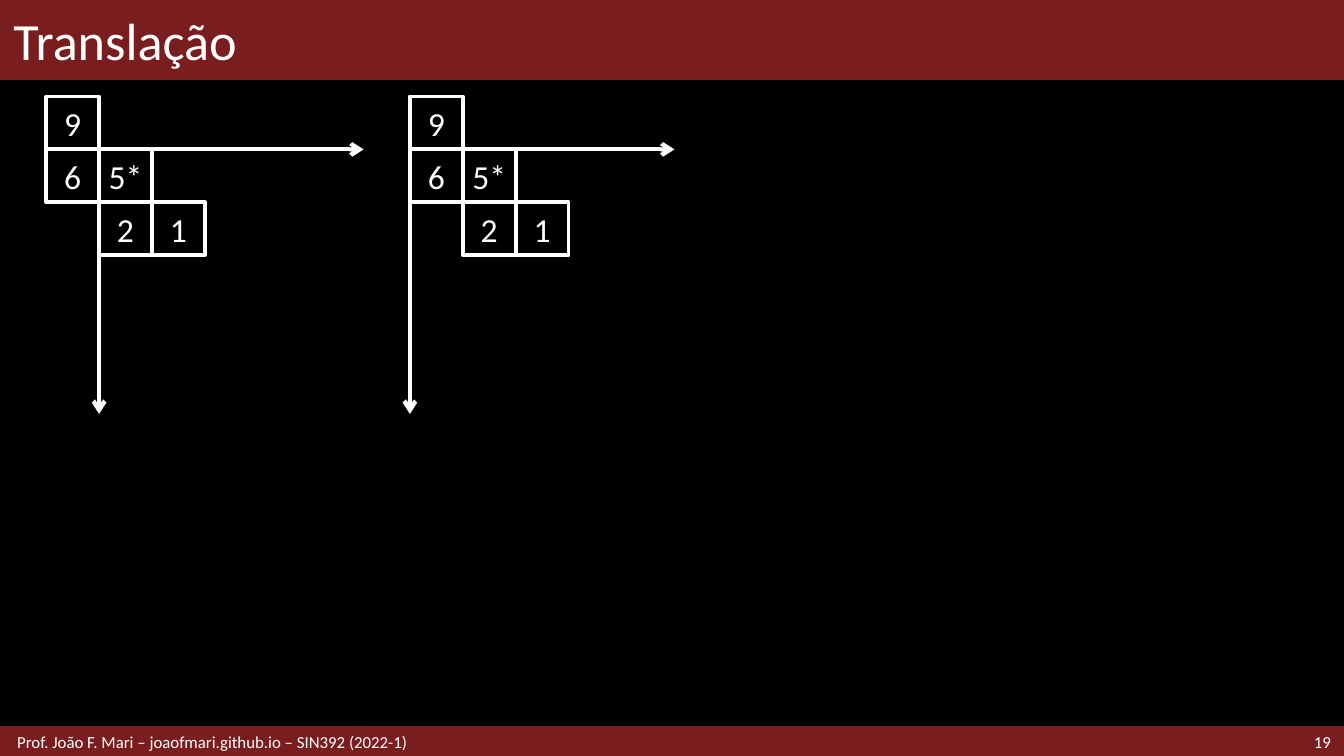
"""Build the Translação slide: one set of pixels under two coordinate origins."""
from lxml.etree import SubElement
from pptx import Presentation
from pptx.dml.color import RGBColor
from pptx.enum.shapes import MSO_CONNECTOR as CONN, MSO_SHAPE as SHAPE
from pptx.enum.text import MSO_ANCHOR as ANCHOR, PP_ALIGN as ALIGN
from pptx.oxml.ns import qn
from pptx.util import Pt

WIDTH, HEIGHT = 720, 405
TITLE_H, FOOTER_H = 42.5, 15
CELL = 28.35
TOP = 51.7
PIXELS = [("1", 2, 2), ("2", 1, 2), ("5*", 1, 1), ("6", 0, 1), ("9", 0, 0)]


def color(value):
    return RGBColor.from_string(value)


class Deck:
    font = "Calibri"
    white, black, red = "FFFFFF", "000000", "791D1F"

    def __init__(self, prs):
        self.s = prs.slides.add_slide(prs.slide_layouts[5])
        fill = self.s.background.fill
        fill.solid()
        fill.fore_color.rgb = color(self.black)

    def text(self, sp, words, size, align=ALIGN.LEFT, left=7.2, right=7.2):
        tf = sp.text_frame
        fmt = {"word_wrap": True, "vertical_anchor": ANCHOR.MIDDLE,
               "margin_left": Pt(left), "margin_right": Pt(right),
               "margin_top": 0, "margin_bottom": 0}
        for name, value in fmt.items():
            setattr(tf, name, value)
        p = tf.paragraphs[0]
        p.alignment = align
        r = p.add_run()
        r.text = words
        for name, value in {"name": self.font, "size": Pt(size)}.items():
            setattr(r.font, name, value)
        r.font.color.rgb = color(self.white)

    def rect(self, x, y, w, h, line, weight, fill=None):
        sp = self.s.shapes.add_shape(SHAPE.RECTANGLE, Pt(x), Pt(y), Pt(w), Pt(h))
        sp.shadow.inherit = False
        if fill:
            sp.fill.solid()
            sp.fill.fore_color.rgb = color(fill)
        else:
            sp.fill.background()
        sp.line.color.rgb = color(line)
        sp.line.width = Pt(weight)
        return sp

    def band(self, y, h, weight):
        self.rect(0, y, WIDTH, h, self.red, weight, self.red)

    def title(self, words):
        sp = self.s.shapes.title
        box = {"left": 0, "top": 0, "width": Pt(WIDTH), "height": Pt(TITLE_H)}
        for name, value in box.items():
            setattr(sp, name, value)
        self.text(sp, words, 28)
        sp.element.getparent().append(sp.element)

    def label(self, x, w, words, align=ALIGN.LEFT, left=7.2):
        sp = self.s.shapes.add_textbox(Pt(x), Pt(HEIGHT - FOOTER_H), Pt(w), Pt(FOOTER_H))
        self.text(sp, words, 9, align, left)

    def arrow(self, x1, y1, x2, y2):
        cn = self.s.shapes.add_connector(CONN.STRAIGHT, Pt(x1), Pt(y1), Pt(x2), Pt(y2))
        cn.line.color.rgb = color(self.white)
        cn.line.width = Pt(2.25)
        sp_pr = cn.element.spPr
        SubElement(sp_pr.find(qn("a:ln")), qn("a:tailEnd"), type="arrow")
        SubElement(sp_pr, qn("a:effectLst"))

    def axes(self, x, y, length):
        self.arrow(x, y, x, y + length)
        self.arrow(x, y, x + length, y)

    def pixels(self, x, y):
        for value, col, row in PIXELS:
            sp = self.rect(x + col * CELL, y + row * CELL, CELL, CELL, self.white, 2)
            self.text(sp, value, 18, ALIGN.CENTER, 3, 3)


def main():
    prs = Presentation()
    prs.slide_width, prs.slide_height = Pt(WIDTH), Pt(HEIGHT)
    deck = Deck(prs)
    deck.band(0, TITLE_H, 1)
    deck.band(HEIGHT - FOOTER_H, FOOTER_H, 2)
    deck.title("Translação")
    deck.label(638, 82, "19", ALIGN.RIGHT)
    deck.label(0, 496, "Prof. João F. Mari – joaofmari.github.io – SIN392 (2022-1)", left=9.2)
    for left, origin_col in [(24.75, 1), (219.6, 0)]:
        deck.axes(left + origin_col * CELL, TOP + CELL, 5 * CELL)
        deck.pixels(left, TOP)
    prs.save("out.pptx")


if __name__ == "__main__":
    main()
